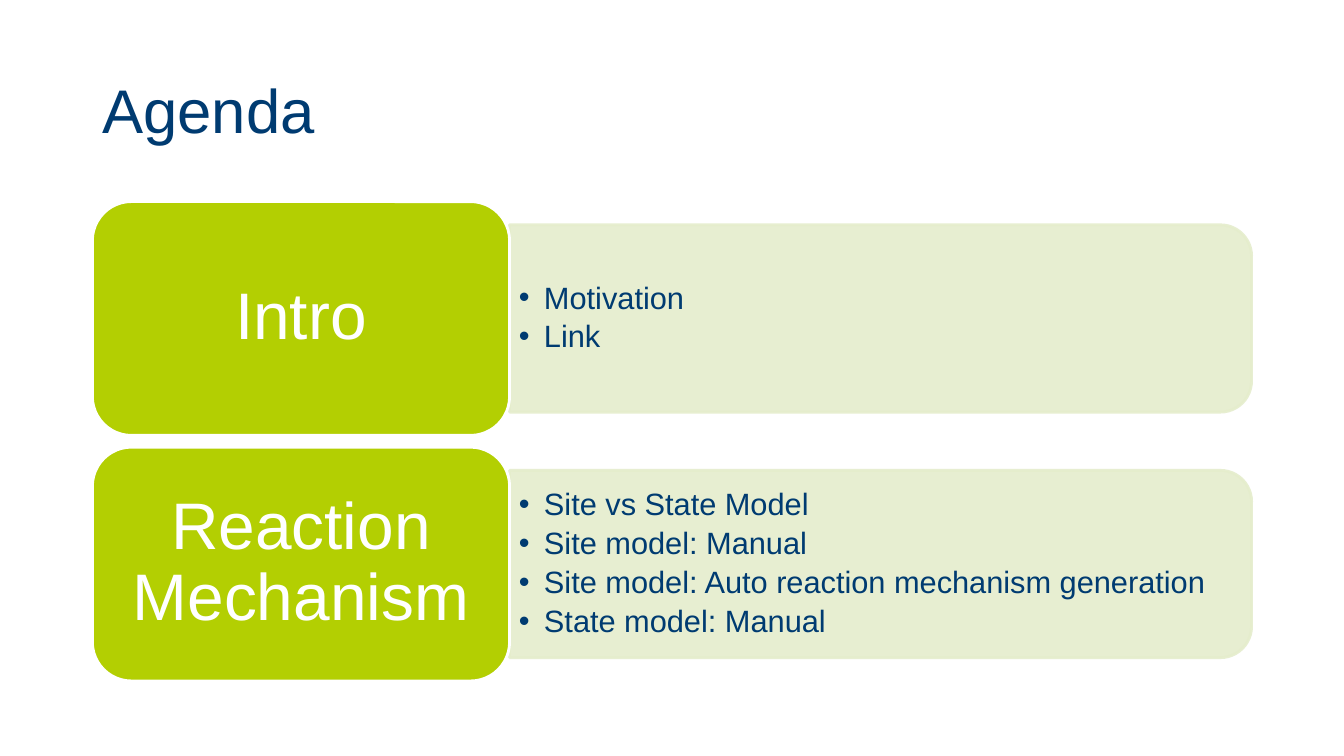
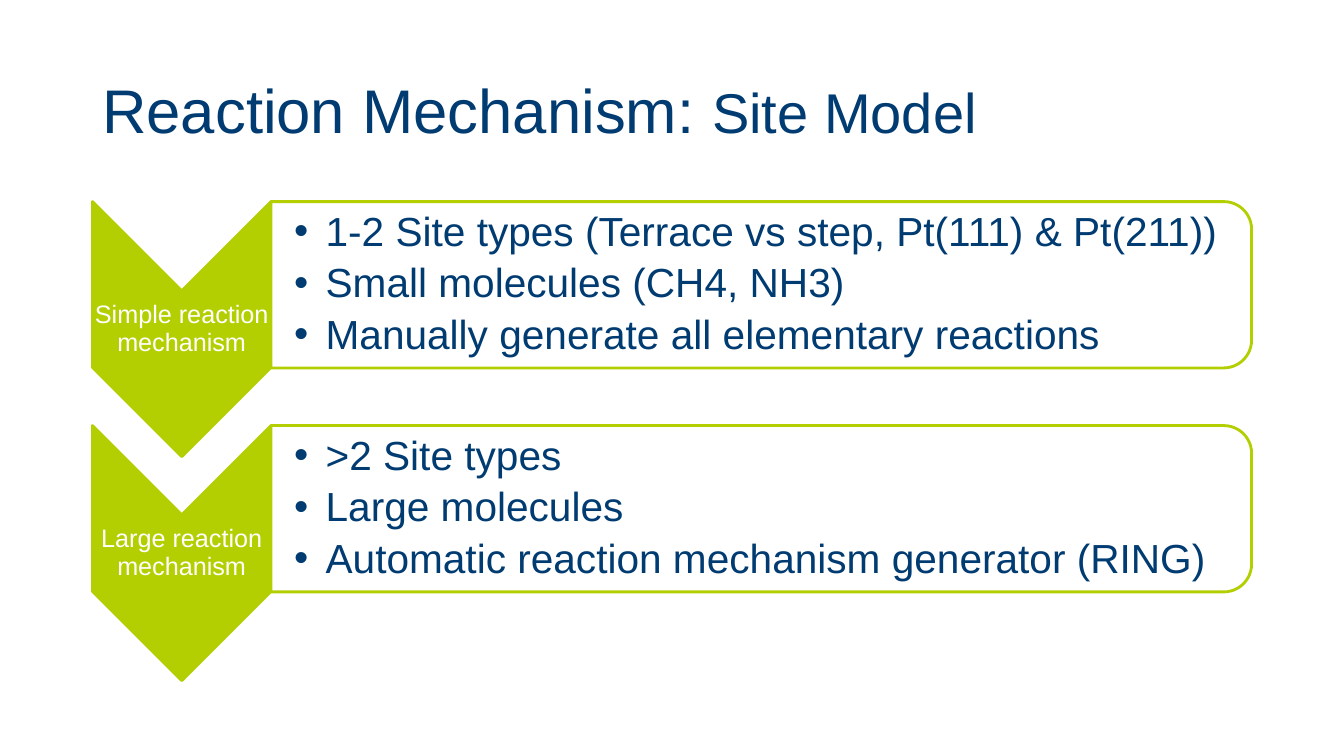
"""Build an agenda slide and a site model slide with python-pptx."""
from lxml import etree
from pptx import Presentation
from pptx.dml.color import RGBColor
from pptx.enum import shapes, text
from pptx.oxml.ns import qn
from pptx.util import Pt

COLORS = {"navy": "003B71", "lime": "B3CF02", "pale": "E5EDCC", "white": "FFFFFF"}
LEFT = 66
TOP = 144


def write(frame, lines, size, color, insets, after=0, indent=0, align=text.PP_ALIGN.LEFT):
    frame.word_wrap = True
    frame.vertical_anchor = text.MSO_ANCHOR.MIDDLE
    frame.margin_left, frame.margin_top, frame.margin_right, frame.margin_bottom = map(Pt, insets)
    for number, line in enumerate(lines):
        paragraph = frame.add_paragraph() if number else frame.paragraphs[0]
        paragraph.add_run().text = line
        paragraph.alignment = align
        paragraph.line_spacing = 0.9
        paragraph.space_after = Pt(after)
        if indent:
            properties = paragraph._p.get_or_add_pPr()
            properties.set("marL", str(Pt(indent)))
            properties.set("indent", str(-Pt(indent)))
            etree.SubElement(properties, qn("a:buFont"), typeface="Arial")
            etree.SubElement(properties, qn("a:buChar"), char="•")
        paragraph.font.name = "Arial"
        paragraph.font.size = Pt(size)
        paragraph.font.color.rgb = RGBColor.from_string(COLORS[color])


def draw(slide, kind, box, fill, line, turned=False, opacity=100):
    left, top, width, height = box
    if turned:
        left, top = left + (width - height) / 2, top + (height - width) / 2
        width, height = height, width
    shape = slide.shapes.add_shape(kind, Pt(left), Pt(top), Pt(width), Pt(height))
    shape.rotation = 90 if turned else 0
    shape.shadow.inherit = False
    shape.fill.solid()
    shape.fill.fore_color.rgb = RGBColor.from_string(COLORS[fill])
    shape.line.color.rgb = RGBColor.from_string(COLORS[line])
    shape.line.width = Pt(2)
    if opacity < 100:
        for color in shape._element.spPr.iter(qn("a:srgbClr")):
            etree.SubElement(color, qn("a:alpha"), val=str(opacity * 1000))
    return shape


deck = Presentation()
deck.slide_width, deck.slide_height = Pt(960), Pt(540)

pages = []
for heading in ("Agenda", "Reaction Mechanism: "):
    page = deck.slides.add_slide(deck.slide_layouts[6])
    title = page.shapes.add_textbox(Pt(LEFT), Pt(28.75), Pt(828), Pt(104.4))
    write(title.text_frame, [heading], 44, "navy", (7.2, 3.6, 7.2, 3.6))
    pages.append(page)
agenda, site_model = pages
subject = title.text_frame.paragraphs[0].add_run()
subject.text = "Site Model"
subject.font.size = Pt(40)

sections = [
    ("Intro", ["Motivation", "Link"]),
    ("Reaction Mechanism", [
        "Site vs State Model",
        "Site model: Manual",
        "Site model: Auto reaction mechanism generation",
        "State model: Manual",
    ]),
]
for row, (section, topics) in enumerate(sections):
    top = TOP + row * 175.4
    draw(agenda, shapes.MSO_SHAPE.ROUND_2_SAME_RECTANGLE, (364, top + 16.6, 530, 133.8),
         "pale", "pale", turned=True, opacity=90)
    topic_list = agenda.shapes.add_textbox(Pt(364), Pt(top + 23), Pt(523.5), Pt(121))
    write(topic_list.text_frame, topics, 22, "navy", (6.6, 3.3, 6.6, 3.3), after=4, indent=18)
    section_block = draw(agenda, shapes.MSO_SHAPE.ROUNDED_RECTANGLE, (LEFT, top, 298, 167),
                         "lime", "white")
    write(section_block.text_frame, [section], 47, "white", (14.1, 7.05, 14.1, 7.05),
          align=text.PP_ALIGN.CENTER)

cases = [
    ("Simple reaction mechanism", [
        "1-2 Site types (Terrace vs step, Pt(111) & Pt(211))",
        "Small molecules (CH4, NH3)",
        "Manually generate all elementary reactions",
    ]),
    ("Large reaction mechanism", [
        ">2 Site types",
        "Large molecules",
        "Automatic reaction mechanism generator (RING)",
    ]),
]
for row, (case, traits) in enumerate(cases):
    top = TOP + row * 160
    draw(site_model, shapes.MSO_SHAPE.CHEVRON, (LEFT, top, 127.6, 182.2),
         "lime", "lime", turned=True)
    case_label = site_model.shapes.add_textbox(Pt(LEFT), Pt(top + 64), Pt(127.6), Pt(54.6))
    write(case_label.text_frame, [case], 18, "white", (0.9, 0.9, 0.9, 0.9),
          align=text.PP_ALIGN.CENTER)
    draw(site_model, shapes.MSO_SHAPE.ROUND_2_SAME_RECTANGLE, (193.6, top, 700.4, 118.8),
         "white", "lime", turned=True)
    trait_list = site_model.shapes.add_textbox(Pt(193.6), Pt(top + 5.8), Pt(694.6), Pt(107.2))
    write(trait_list.text_frame, traits, 29, "navy", (16.5, 1.45, 1.45, 1.45),
          after=5.5, indent=22.5)

deck.save("out.pptx")
